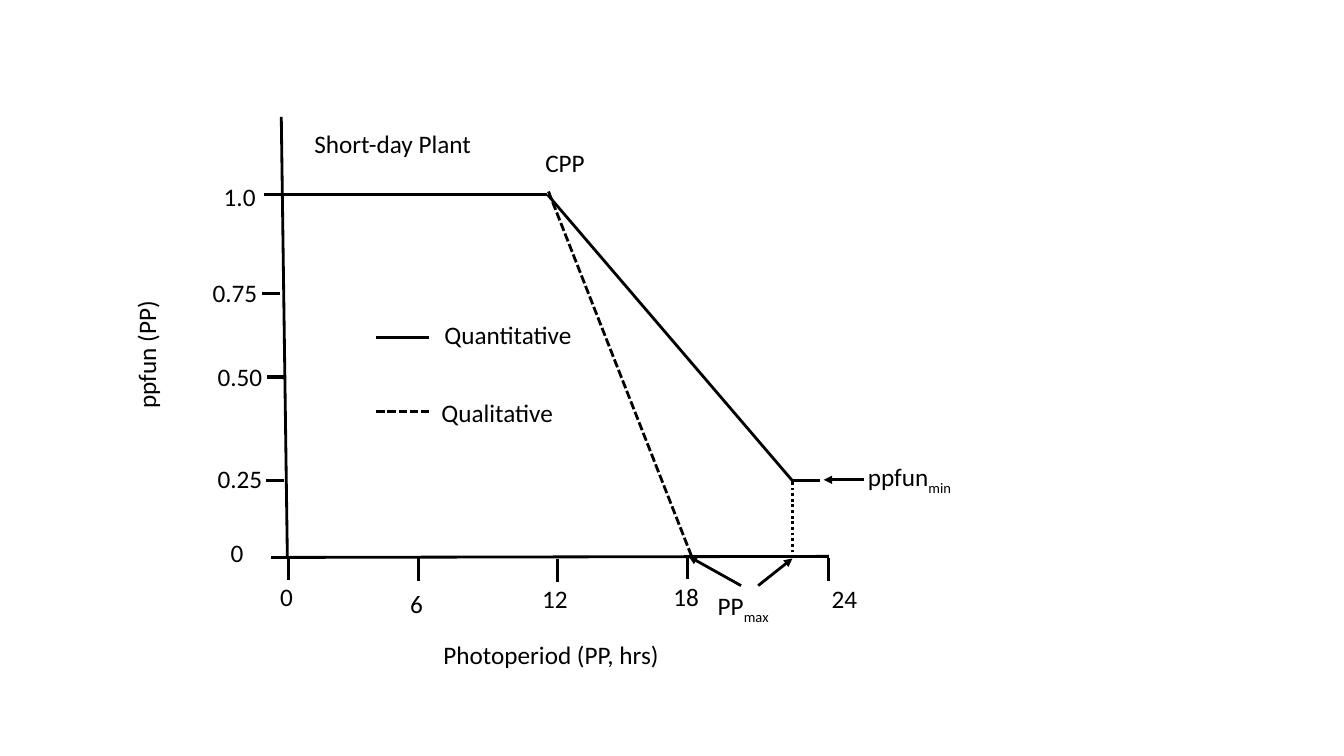
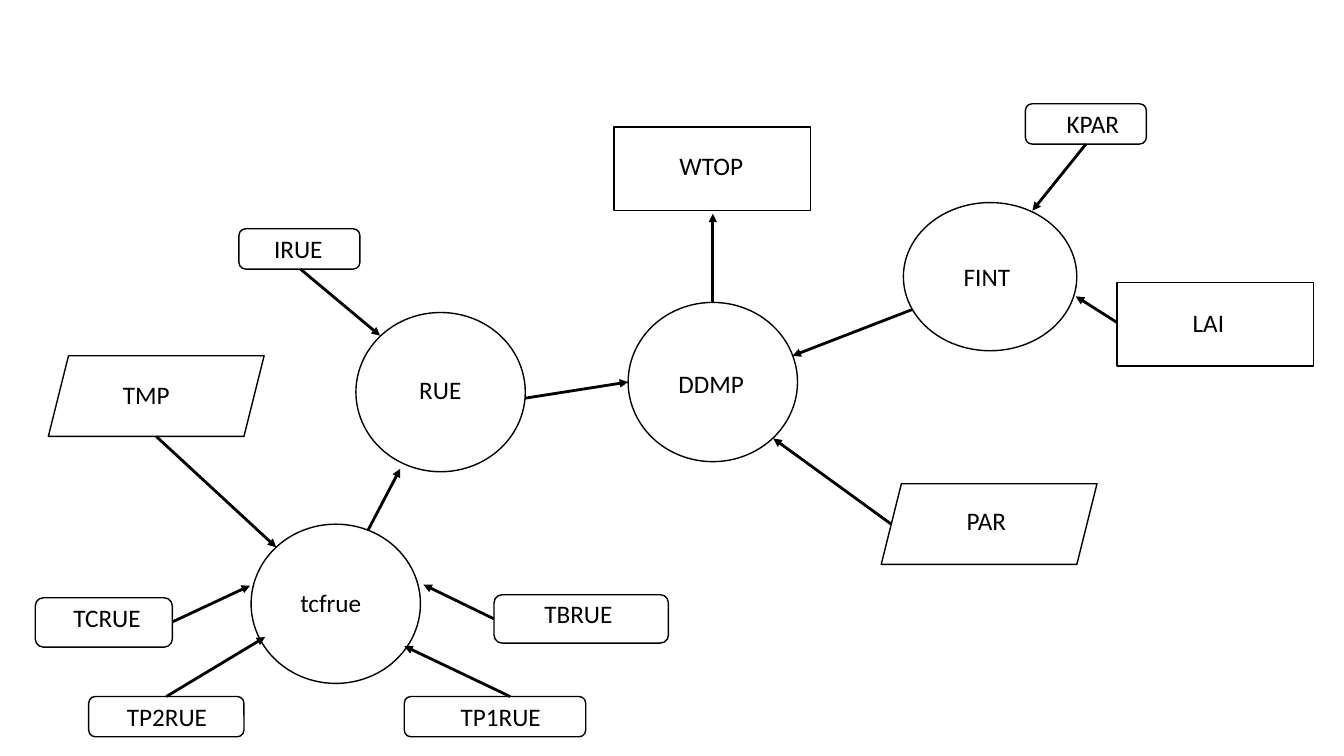
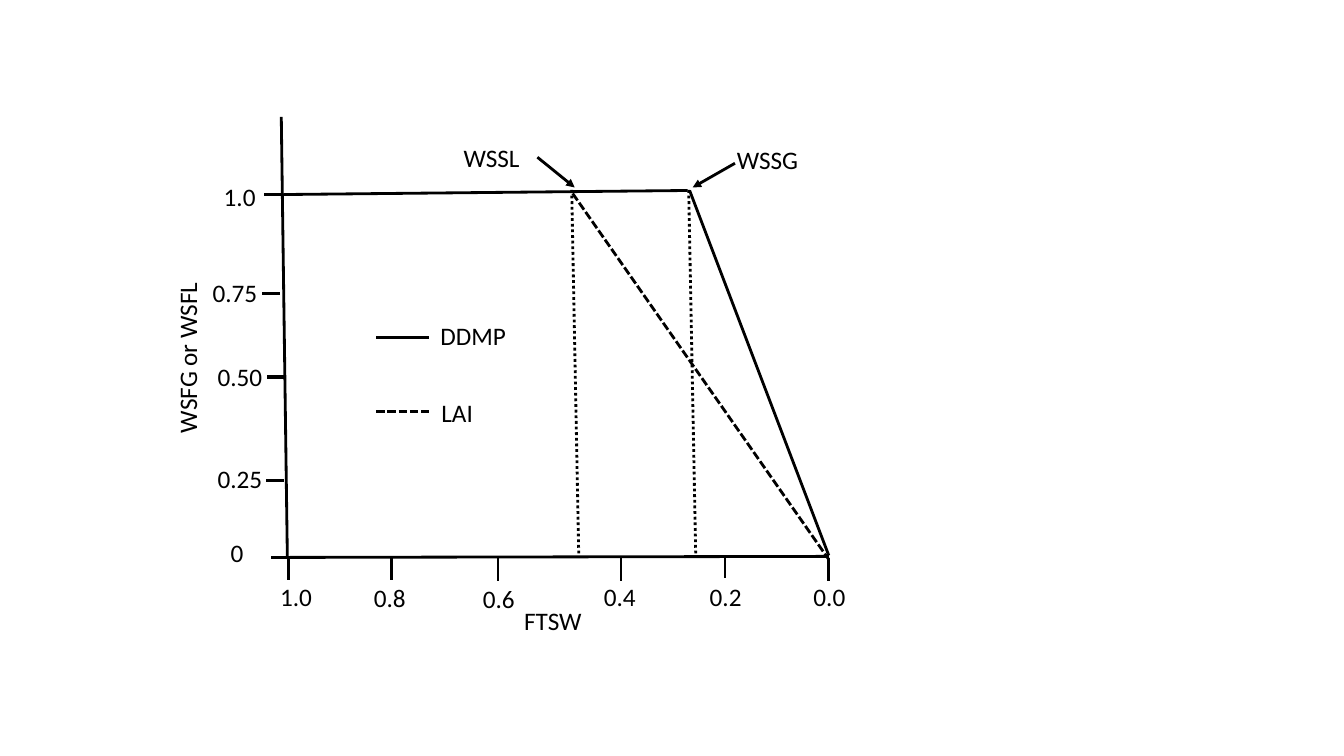
"""Build three crop model slides: two response charts and a flow diagram."""
from pptx import Presentation, util as u
from pptx.dml.color import RGBColor
from pptx.enum import dml, shapes, text
from pptx.oxml import ns, xmlchemy

PX = 9144
COLORS = {"ink": "000000", "paper": "FFFFFF"}
FONT = "Calibri"
LABEL_H = 40
TICK = 22
DASH = dml.MSO_LINE.SQUARE_DOT
DOT = dml.MSO_LINE.ROUND_DOT
OVAL = shapes.MSO_SHAPE.OVAL
RECT = shapes.MSO_SHAPE.RECTANGLE
ROUND = shapes.MSO_SHAPE.ROUNDED_RECTANGLE
SLANT = shapes.MSO_SHAPE.PARALLELOGRAM

Y_TICKS = [
    ("1.0", 212, 175, 262, 193),
    ("0.75", 201, 270, 260, 291),
    ("0.50", 206, 354, 265, 374),
    ("0.25", 206, 455, 264, 477),
    ("0", 219, 528, 269, 553),
]


def emu(*lengths):
    return [u.Emu(n * PX) for n in lengths]


def color(name):
    return RGBColor.from_string(COLORS[name])


def line(s, x1, y1, x2, y2, width=2, dash=None, arrow=False):
    c = s.shapes.add_connector(
        shapes.MSO_CONNECTOR.STRAIGHT, *emu(x1, y1, x2, y2))
    c.line.color.rgb = color("ink")
    c.line.width = u.Pt(width)
    if dash:
        c.line.dash_style = dash
    if arrow:
        tail = xmlchemy.OxmlElement("a:tailEnd")
        tail.set("type", "triangle")
        c.get_or_add_ln().append(tail)
    c._element.find(ns.qn("p:spPr")).append(
        xmlchemy.OxmlElement("a:effectLst"))


def label(s, words, x, y, w, sub="", rotation=0):
    sp = s.shapes.add_textbox(*emu(x, y, w, LABEL_H))
    sp.rotation = rotation
    tf = sp.text_frame
    tf.word_wrap = True
    tf.auto_size = text.MSO_AUTO_SIZE.SHAPE_TO_FIT_TEXT
    tf.text = words
    p = tf.paragraphs[0]
    if sub:
        r = p.add_run()
        r.text = sub
        r._r.get_or_add_rPr().set("baseline", "-25000")
    for r in p.runs:
        r.font.size = u.Pt(18)
        r.font.name = FONT
        r.font.color.rgb = color("ink")
    return sp


def node(s, kind, box, words, x, y, w):
    group = s.shapes.add_group_shape()
    sp = group.shapes.add_shape(kind, *emu(*box))
    sp.shadow.inherit = False
    sp.fill.solid()
    sp.fill.fore_color.rgb = color("paper")
    sp.line.color.rgb = color("ink")
    sp.line.width = u.Pt(1)
    label(group_slide(group), words, x, y, w)


def group_slide(group):
    return group


def axes(s, x_ticks):
    line(s, 279, 116, 285, 553)
    line(s, 822, 552, 284, 553)
    for words, x, y, tick_x, tick_y in Y_TICKS:
        label(s, words, x, y, 67)
        line(s, tick_x, tick_y, tick_x + 18, tick_y, 2.25)
    for words, x, y, tick_x, tick_y in x_ticks:
        label(s, words, x, y, 67)
        line(s, tick_x, tick_y, tick_x, tick_y + TICK)


def legend(s, solid, dashed):
    for (words, x, y), line_y, dash in ((solid, 335, None), (dashed, 408, DASH)):
        line(s, 373, line_y, 425, line_y, dash=dash)
        label(s, words, x, y, 160)


def photoperiod_slide(s):
    axes(s, [
        ("0", 268, 572, 286, 553),
        ("6", 397, 579, 415, 554),
        ("12", 528, 574, 553, 555),
        ("18", 658, 572, 682, 552),
        ("24", 815, 574, 822, 554),
    ])
    legend(s, ("Quantitative", 431, 312), ("Qualitative", 428, 389))
    label(s, "Photoperiod (PP, hrs)", 430, 629, 251)
    label(s, "ppfun (PP)", 77, 327, 136, rotation=270)
    label(s, "Short-day Plant", 302, 122, 186)
    label(s, "CPP", 531, 141, 83)
    label(s, "ppfun", 851, 453, 133, sub="min")
    pp_max = label(s, "PP", 702, 581, 102, sub="max")
    pp_max.fill.solid()
    pp_max.fill.fore_color.rgb = color("paper")
    line(s, 276, 193, 543, 193)
    line(s, 543, 193, 786, 477)
    line(s, 785, 477, 813, 477, 2.25)
    line(s, 544, 190, 686, 552, dash=DASH)
    line(s, 786, 548, 786, 477, dash=DOT)
    for ends in ((735, 581, 683, 552), (857, 476, 817, 476),
                 (752, 581, 786, 554)):
        line(s, *ends, arrow=True)


def flow_slide(s):
    for item in (
        (OVAL, (896, 201, 172, 147), "FINT", 946, 254, 116),
        (OVAL, (623, 300, 168, 158), "DDMP", 663, 360, 134),
        (OVAL, (353, 310, 168, 158), "RUE", 406, 366, 134),
        (OVAL, (249, 520, 168, 158), "tcfrue", 288, 578, 100),
        (ROUND, (35, 593, 136, 49), "TCRUE", 63, 593, 106),
        (ROUND, (1017, 103, 120, 40), "KPAR", 1048, 103, 79),
        (ROUND, (401, 691, 180, 40), "TP1RUE", 447, 691, 119),
        (ROUND, (88, 691, 154, 40), "TP2RUE", 116, 691, 106),
        (ROUND, (490, 590, 173, 48), "TBRUE", 530, 589, 111),
        (ROUND, (237, 227, 120, 40), "IRUE", 262, 227, 94),
        (SLANT, (874, 480, 214, 80), "PAR", 949, 496, 103),
        (SLANT, (48, 353, 214, 80), "TMP", 112, 371, 103),
        (RECT, (1108, 280, 195, 83), "LAI", 1173, 300, 111),
        (RECT, (609, 126, 195, 83), "WTOP", 664, 144, 131),
    ):
        node(s, *item)
    for ends in (
        (884, 520, 767, 435), (1077, 143, 1024, 209),
        (707, 300, 707, 212), (1108, 320, 1067, 294),
        (905, 307, 786, 353), (521, 395, 623, 379),
        (155, 433, 274, 543), (365, 526, 397, 465),
        (171, 617, 248, 581), (165, 691, 263, 632),
        (506, 691, 401, 641), (490, 614, 420, 580),
        (298, 267, 377, 333),
    ):
        line(s, *ends, arrow=True)


def water_slide(s):
    axes(s, [
        ("1.0", 268, 572, 286, 553),
        ("0.8", 361, 573, 388, 553),
        ("0.6", 469, 574, 494, 554),
        ("0.4", 589, 572, 616, 554),
        ("0.2", 694, 572, 719, 551),
        ("0.0", 797, 572, 822, 554),
    ])
    legend(s, ("DDMP", 427, 313), ("LAI", 428, 389))
    label(s, "FTSW", 510, 596, 83)
    label(s, "WSFG or WSFL", 99, 333, 173, rotation=270)
    label(s, "WSSL", 450, 136, 83)
    label(s, "WSSG", 721, 138, 83)
    line(s, 281, 193, 682, 189)
    line(s, 684, 189, 822, 551)
    line(s, 568, 192, 822, 555, dash=DASH)
    for x in (567, 683):
        line(s, x + 7, 549, x, 186, dash=DOT)
    for ends in ((729, 162, 687, 186), (533, 156, 570, 186)):
        line(s, *ends, arrow=True)


def main():
    prs = Presentation()
    prs.slide_width, prs.slide_height = emu(1333, 750)
    for build in (photoperiod_slide, flow_slide, water_slide):
        build(prs.slides.add_slide(prs.slide_layouts[6]))
    prs.save("out.pptx")


if __name__ == "__main__":
    main()
